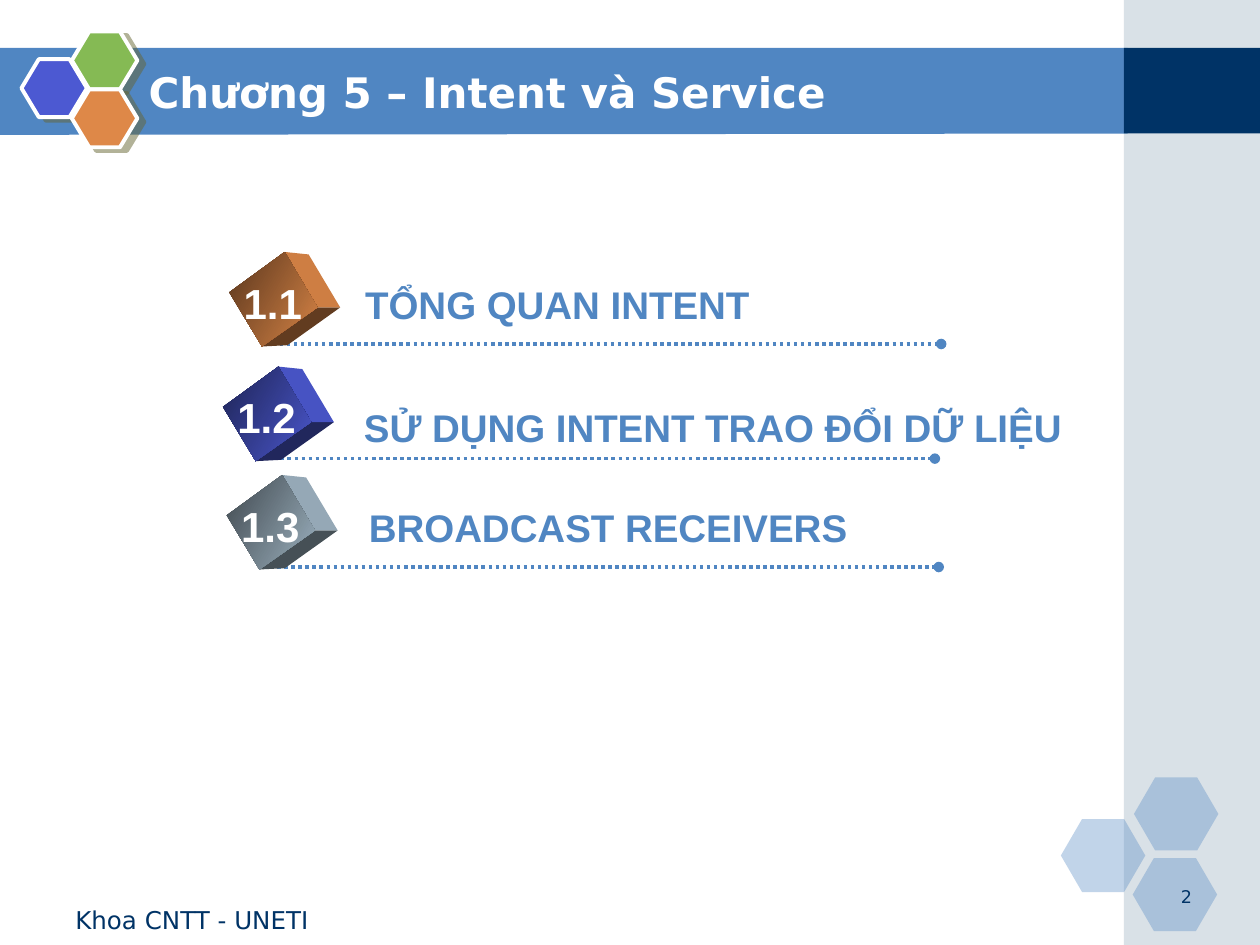
from dataclasses import dataclass

import lxml.etree
import pptx
import pptx.dml.color
import pptx.enum.dml
import pptx.enum.shapes
import pptx.enum.text
import pptx.oxml
import pptx.oxml.ns
import pptx.util
from pptx.util import Inches

RGBColor = pptx.dml.color.RGBColor
Anchor = pptx.enum.text.MSO_ANCHOR
Align = pptx.enum.text.PP_ALIGN
Preset = pptx.enum.shapes.MSO_SHAPE

WHITE = RGBColor(0xFF, 0xFF, 0xFF)
BLUE = RGBColor(0x50, 0x86, 0xC2)
NAVY = RGBColor(0x00, 0x33, 0x66)
MIST = RGBColor(0xA0, 0xB5, 0xC4)
INDIGO = RGBColor(0x4C, 0x59, 0xD2)
GREEN = RGBColor(0x85, 0xBA, 0x54)
ORANGE = RGBColor(0xDE, 0x88, 0x48)
SHADOW = RGBColor(0x66, 0x66, 0x33)

HEADING_FONT = "DejaVu Sans"
LABEL_FONT = "Arial"

FRONT_FACE = [(0, 0.32), (0.44, 0), (0.7, 0.44), (0.26, 0.75)]
SIDE_FACE = [(0.44, 0), (0.63, 0.02), (0.88, 0.44), (0.7, 0.44)]
BOTTOM_FACE = [(0.26, 0.75), (0.7, 0.44), (0.88, 0.44), (0.46, 0.74)]


@dataclass
class Box:
    left: float
    top: float
    width: float
    height: float

    def lengths(self) -> list:
        return [Inches(value) for value in (self.left, self.top, self.width, self.height)]


@dataclass
class TextStyle:
    font: str
    size: int
    color: RGBColor
    bold: bool = False
    align: Align = Align.LEFT


@dataclass
class Hexagon:
    left: float
    top: float
    color: RGBColor


@dataclass
class Topic:
    number: str
    label: str
    color: RGBColor
    line_left: float
    line_top: float
    label_left: float
    label_top: float


TITLE_STYLE = TextStyle(HEADING_FONT, 24, WHITE, True)
NUMBER_STYLE = TextStyle(LABEL_FONT, 24, WHITE, True, Align.CENTER)
LABEL_STYLE = TextStyle(LABEL_FONT, 22, BLUE, True)
FOOTER_STYLE = TextStyle(HEADING_FONT, 14, NAVY)
PAGE_STYLE = TextStyle(HEADING_FONT, 10, NAVY, align=Align.RIGHT)

CORNER_HEXAGONS = [
    Hexagon(8.42, 6.5, BLUE),
    Hexagon(9, 6.17, BLUE),
    Hexagon(8.99, 6.81, BLUE),
]
EMBLEM_HEXAGONS = [
    Hexagon(0.17, 0.47, INDIGO),
    Hexagon(0.57, 0.25, GREEN),
    Hexagon(0.57, 0.71, ORANGE),
]
TOPICS = [
    Topic("1.1", "TỔNG QUAN INTENT", ORANGE, 2.22, 2.73, 2.8, 2.18),
    Topic("1.2", "SỬ DỤNG INTENT TRAO ĐỔI DỮ LIỆU", INDIGO, 2.17, 3.64, 2.79, 3.16),
    Topic("1.3", "BROADCAST RECEIVERS", MIST, 2.2, 4.5, 2.83, 3.95),
]


def shade(color: RGBColor, factor: float) -> RGBColor:
    return RGBColor(*(round(channel * factor) for channel in color))


def add_child(parent, tag: str, **attributes: str):
    child = lxml.etree.SubElement(parent, pptx.oxml.ns.qn(tag))
    for name, value in attributes.items():
        child.set(name, value)
    return child


def paint(shape, color: RGBColor, alpha: int = 100) -> None:
    shape.shadow.inherit = False
    shape.line.fill.background()
    shape.fill.solid()
    shape.fill.fore_color.rgb = color
    if alpha < 100:
        color_element = shape.fill._xPr.find(".//" + pptx.oxml.ns.qn("a:srgbClr"))
        add_child(color_element, "a:alpha", val=str(alpha * 1000))


def add_preset(slide, preset: Preset, box: Box, color: RGBColor, alpha: int = 100):
    shape = slide.shapes.add_shape(preset, *box.lengths())
    paint(shape, color, alpha)
    return shape


def add_polygon(slide, points: list, color: RGBColor, left: float = 0, top: float = 0):
    corners = [(Inches(left + x), Inches(top + y)) for x, y in points]
    builder = slide.shapes.build_freeform(*corners[0], scale=1.0)
    builder.add_line_segments(corners[1:], close=True)
    shape = builder.convert_to_shape()
    paint(shape, color)
    return shape


def write(shape, text: str, style: TextStyle, anchor: Anchor = Anchor.TOP) -> None:
    frame = shape.text_frame
    frame.text = text
    frame.word_wrap = True
    frame.auto_size = pptx.enum.text.MSO_AUTO_SIZE.NONE
    frame.vertical_anchor = anchor
    paragraph = frame.paragraphs[0]
    paragraph.alignment = style.align
    font = paragraph.runs[0].font
    font.name = style.font
    font.size = pptx.util.Pt(style.size)
    font.bold = style.bold
    font.color.rgb = style.color


def add_text(slide, box: Box, text: str, style: TextStyle, anchor: Anchor = Anchor.TOP):
    shape = slide.shapes.add_textbox(*box.lengths())
    write(shape, text, style, anchor)
    return shape


def add_emblem_hexagon(slide, hexagon: Hexagon) -> None:
    box = Box(hexagon.left, hexagon.top, 0.52, 0.46)
    shape = add_preset(slide, Preset.HEXAGON, box, hexagon.color)
    shape.adjustments[0] = 0.3
    shape.line.color.rgb = WHITE
    shape.line.width = pptx.util.Pt(2.25)
    effects = shape._element.spPr.find(pptx.oxml.ns.qn("a:effectLst"))
    shadow = add_child(effects, "a:outerShdw", dist=str(pptx.util.Pt(4.5)),
                       dir=str(27 * 60000), algn="ctr", rotWithShape="0")
    color = add_child(shadow, "a:srgbClr", val=str(SHADOW))
    add_child(color, "a:alpha", val="50000")


def add_dotted_line(slide, left: float, top: float, length: float) -> None:
    line = slide.shapes.add_connector(
        pptx.enum.shapes.MSO_CONNECTOR.STRAIGHT,
        Inches(left), Inches(top), Inches(left + length), Inches(top))
    line.line.color.rgb = BLUE
    line.line.width = pptx.util.Pt(2)
    line.line.dash_style = pptx.enum.dml.MSO_LINE.ROUND_DOT
    add_child(line.line._get_or_add_ln(), "a:tailEnd", type="oval")
    add_child(line._element.spPr, "a:effectLst")


def add_cube(slide, left: float, top: float, color: RGBColor) -> None:
    add_polygon(slide, BOTTOM_FACE, shade(color, 0.44), left, top)
    add_polygon(slide, SIDE_FACE, shade(color, 0.93), left, top)
    front = add_polygon(slide, FRONT_FACE, color, left, top)
    front.fill.gradient()
    front.fill.gradient_angle = 330
    for stop, factor in zip(front.fill.gradient_stops, (0.4, 0.97)):
        stop.color.rgb = shade(color, factor)


def add_topic(slide, topic: Topic) -> None:
    add_dotted_line(slide, topic.line_left, topic.line_top, 5.25)
    add_cube(slide, topic.line_left - 0.4, topic.line_top - 0.73, topic.color)
    number_box = Box(topic.line_left - 0.39, topic.line_top - 0.58, 0.67, 0.5)
    number = add_text(slide, number_box, topic.number, NUMBER_STYLE, Anchor.MIDDLE)
    number.text_frame.margin_left = number.text_frame.margin_right = 0
    label_box = Box(topic.label_left, topic.label_top, 6, 0.47)
    add_text(slide, label_box, topic.label, LABEL_STYLE)


def main() -> None:
    presentation = pptx.Presentation()
    presentation.slide_width = Inches(10)
    presentation.slide_height = Inches(7.5)
    slide = presentation.slides.add_slide(presentation.slide_layouts[5])

    add_polygon(slide, [(-0.01, 0.38), (8.95, 0.38), (8.95, 1.06), (-0.01, 1.07)], BLUE)
    add_preset(slide, Preset.RECTANGLE, Box(8.92, 0, 1.08, 7.5), MIST, 40)
    add_preset(slide, Preset.RECTANGLE, Box(8.92, 0.38, 1.08, 0.68), NAVY)
    for hexagon in CORNER_HEXAGONS:
        box = Box(hexagon.left, hexagon.top, 0.67, 0.58)
        shape = add_preset(slide, Preset.HEXAGON, box, hexagon.color, 35)
        shape.adjustments[0] = 0.29
    for hexagon in EMBLEM_HEXAGONS:
        add_emblem_hexagon(slide, hexagon)

    title = slide.shapes.title
    title.left, title.top, title.width, title.height = Box(1.08, 0.42, 9.25, 0.62).lengths()
    write(title, "Chương 5 – Intent và Service", TITLE_STYLE, Anchor.MIDDLE)
    slide.shapes._spTree.append(title._element)

    for topic in TOPICS:
        add_topic(slide, topic)
    add_text(slide, Box(0.5, 7.13, 2.33, 0.27), "Khoa CNTT - UNETI", FOOTER_STYLE)
    add_text(slide, Box(9.06, 6.98, 0.5, 0.25), "2", PAGE_STYLE)
    presentation.save("out.pptx")


if __name__ == "__main__":
    main()
